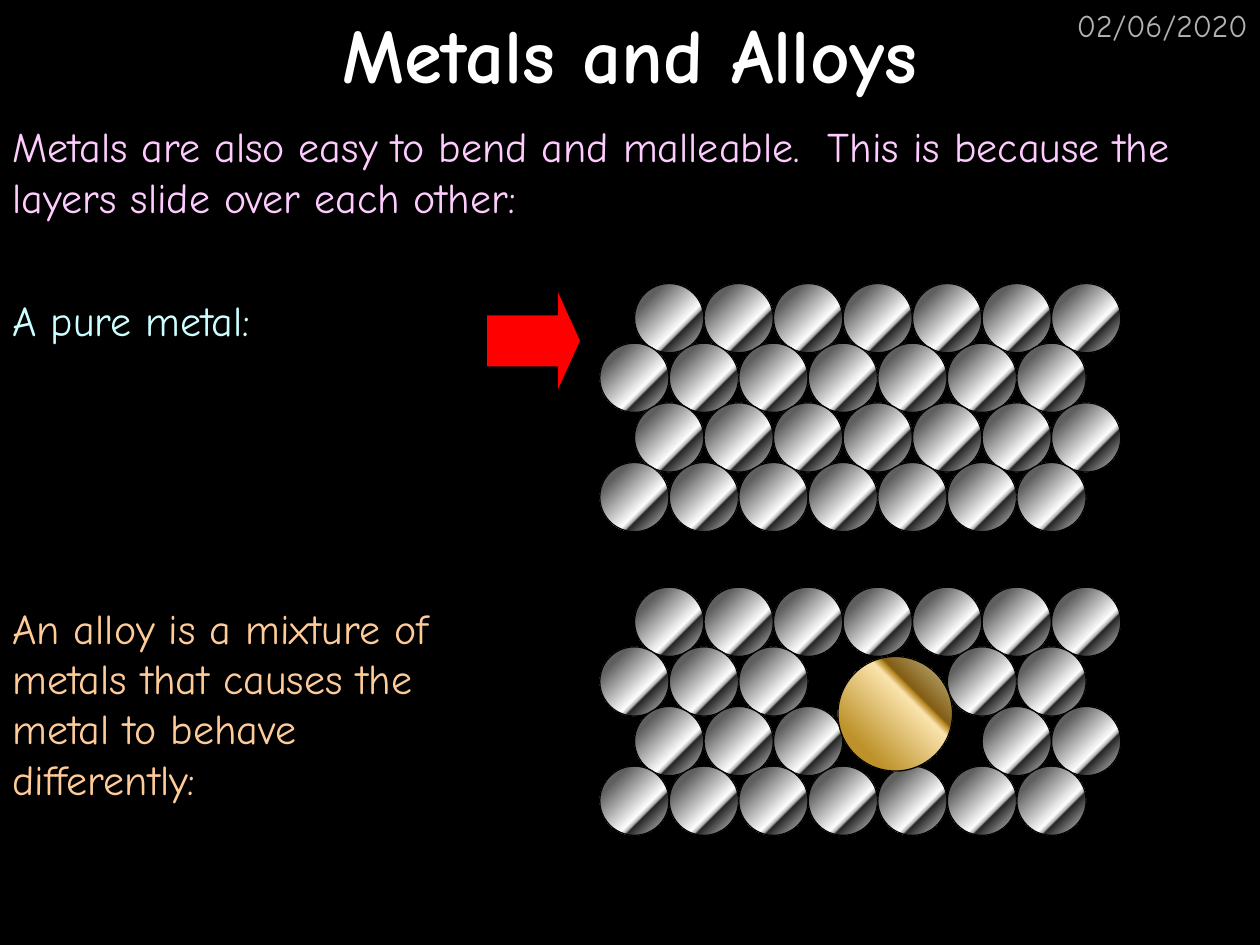
from typing import NamedTuple

from pptx import Presentation
from pptx.dml.color import RGBColor
from pptx.enum.shapes import MSO_SHAPE
from pptx.enum.text import MSO_ANCHOR, PP_ALIGN
from pptx.oxml import parse_xml
from pptx.oxml.ns import nsdecls
from pptx.util import Inches, Pt

ELLIPSE = MSO_SHAPE.OVAL
RIGHT_ARROW = MSO_SHAPE.RIGHT_ARROW
LEFT, CENTER, RIGHT = PP_ALIGN.LEFT, PP_ALIGN.CENTER, PP_ALIGN.RIGHT
TOP, MIDDLE = MSO_ANCHOR.TOP, MSO_ANCHOR.MIDDLE

FONT = "Comic Neue"
SLIDE_WIDTH, SLIDE_HEIGHT = Inches(10), Inches(7.5)
COLUMN, ROW = SLIDE_WIDTH / 10, SLIDE_HEIGHT / 7.5

COLORS = {
    "background": "000000",
    "outline": "000000",
    "date": "B2B2B2",
    "title": "FFFFFF",
    "intro": "FFCCFF",
    "pure": "CCFFFF",
    "alloy": "FFCC99",
    "force": "FF0000",
}

STOPS = (0, 13, 21, 63, 67, 69, 82, 100)


class Box(NamedTuple):
    left: float
    top: float
    width: float
    height: float

    def emu(self) -> tuple[int, int, int, int]:
        return (round(self.left * COLUMN), round(self.top * ROW),
                round(self.width * COLUMN), round(self.height * ROW))


class Label(NamedTuple):
    text: str
    box: Box
    color: str
    size: int = 24
    align: PP_ALIGN = LEFT
    anchor: MSO_ANCHOR = TOP
    bold: bool = False


class Sheen(NamedTuple):
    colors: tuple[str, ...]
    angle: int


class Lattice(NamedTuple):
    top: float
    layers: tuple[str, ...]


SILVER = Sheen(("CBCBCB", "5F5F5F", "5F5F5F", "FFFFFF",
                "B2B2B2", "292929", "777777", "EAEAEA"), 45)
GOLD = Sheen(("FBE4AE", "BD922A", "BD922A", "FBE4AE",
              "BD922A", "835E17", "A28949", "FAE3B7"), 315)

ATOM_SIZE = 0.55
ATOM_PITCH = 3.31 / 6
LAYER_PITCH = 1.42 / 3
LATTICE_LEFT = 4.76
FULL_LAYER = "ooooooo"
GAPPED_LAYER = "ooo..oo"

UPPER_METAL = Lattice(2.25, (FULL_LAYER, FULL_LAYER))
LOWER_METAL = Lattice(2.25 + 2 * LAYER_PITCH, (FULL_LAYER, FULL_LAYER))
ALLOY = Lattice(4.66, (FULL_LAYER, GAPPED_LAYER, GAPPED_LAYER, FULL_LAYER))
FOREIGN_ATOM = Box(6.65, 5.21, 0.91, 0.91)
FORCE_ARROW = Box(3.86, 2.29, 0.75, 0.83)

LABELS = (
    Label("02/06/2020", Box(7.92, 0, 2.08, 0.5), "date", 18, RIGHT),
    Label("Metals and Alloys", Box(0, 0, 10, 0.83), "title", 44, CENTER, MIDDLE, True),
    Label("Metals are also easy to bend and malleable.  This is because the "
          "layers slide over each other:", Box(0, 0.91, 10, 0.91), "intro"),
    Label("A pure metal:", Box(0, 2.29, 3.5, 0.5), "pure"),
    Label("An alloy is a mixture of metals that causes the metal to behave "
          "differently:", Box(0, 4.73, 3.5, 1.7), "alloy"),
)


def rgb(name: str) -> RGBColor:
    return RGBColor.from_string(COLORS[name])


def draw_label(slide, label: Label) -> None:
    frame = slide.shapes.add_textbox(*label.box.emu()).text_frame
    frame.word_wrap = True
    frame.vertical_anchor = label.anchor
    paragraph = frame.paragraphs[0]
    paragraph.alignment = label.align
    run = paragraph.add_run()
    run.text = label.text
    run.font.name = FONT
    run.font.size = Pt(label.size)
    run.font.bold = label.bold
    run.font.color.rgb = rgb(label.color)


def draw_outlined(shapes, preset: MSO_SHAPE, box: Box):
    shape = shapes.add_shape(preset, *box.emu())
    shape.shadow.inherit = False
    shape.line.color.rgb = rgb("outline")
    shape.line.width = Pt(0.75)
    return shape


def draw_atom(shapes, box: Box, sheen: Sheen) -> None:
    atom = draw_outlined(shapes, ELLIPSE, box)
    stops = "".join(
        f'<a:gs pos="{stop * 1000}"><a:srgbClr val="{color}"/></a:gs>'
        for stop, color in zip(STOPS, sheen.colors))
    gradient = parse_xml(
        f'<a:gradFill {nsdecls("a")} rotWithShape="1"><a:gsLst>{stops}</a:gsLst>'
        f'<a:lin ang="{sheen.angle * 60000}" scaled="0"/></a:gradFill>')
    atom.element.spPr.prstGeom.addnext(gradient)


def draw_lattice(slide, lattice: Lattice):
    group = slide.shapes.add_group_shape()
    for layer_index, layer in enumerate(lattice.layers):
        shift = ATOM_PITCH / 2 if layer_index % 2 == 0 else 0
        top = lattice.top + layer_index * LAYER_PITCH
        for site, mark in enumerate(layer):
            if mark == "o":
                left = LATTICE_LEFT + shift + site * ATOM_PITCH
                draw_atom(group.shapes, Box(left, top, ATOM_SIZE, ATOM_SIZE), SILVER)
    return group


def draw_force(slide) -> None:
    arrow = draw_outlined(slide.shapes, RIGHT_ARROW, FORCE_ARROW)
    arrow.adjustments[0] = 0.5
    arrow.adjustments[1] = 0.25
    arrow.fill.solid()
    arrow.fill.fore_color.rgb = rgb("force")


def main() -> None:
    deck = Presentation()
    deck.slide_width, deck.slide_height = SLIDE_WIDTH, SLIDE_HEIGHT
    slide = deck.slides.add_slide(deck.slide_layouts[6])
    slide.background.fill.solid()
    slide.background.fill.fore_color.rgb = rgb("background")
    for label in LABELS:
        draw_label(slide, label)
    for lattice in (UPPER_METAL, LOWER_METAL):
        draw_lattice(slide, lattice)
    draw_force(slide)
    alloy = draw_lattice(slide, ALLOY)
    draw_atom(alloy.shapes, FOREIGN_ATOM, GOLD)
    deck.save("out.pptx")


if __name__ == "__main__":
    main()
